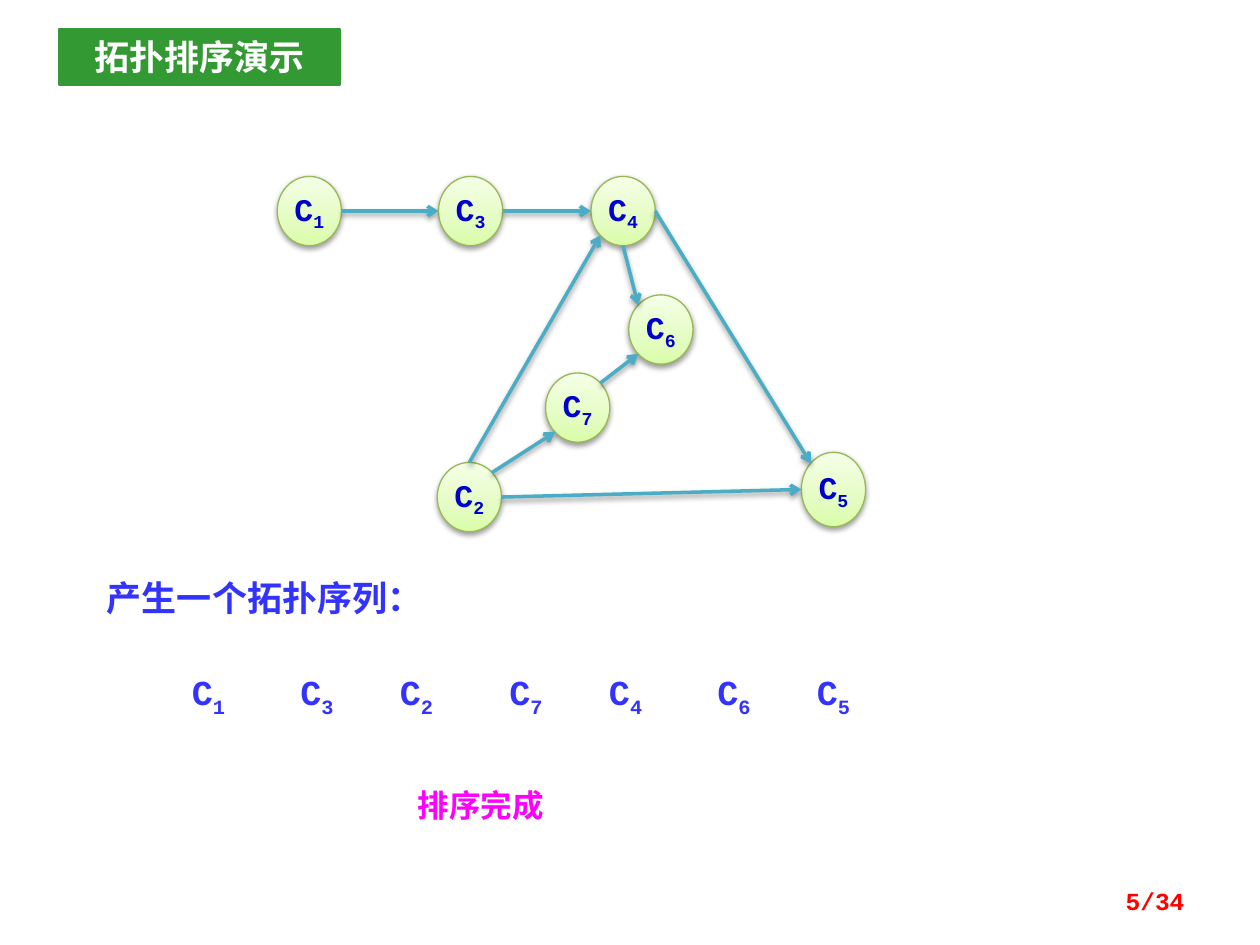
import math
from lxml import etree
from pptx import Presentation
from pptx import util as u
from pptx.dml import color
from pptx.enum import shapes, text
from pptx.oxml import ns, parse_xml

COLORS = {
    "banner": "339933", "white": "FFFFFF", "sequence": "3333FF", "done": "FF00FF",
    "node_text": "0000CC", "node_line": "98B955", "edge": "4BACC6", "page": "FF0000",
}
CODE, HAN = "Courier New", "Noto Sans CJK SC"
LEFT, CENTER, RIGHT = text.PP_ALIGN.LEFT, text.PP_ALIGN.CENTER, text.PP_ALIGN.RIGHT

GRADIENT = f"""<a:gradFill {ns.nsdecls('a')} rotWithShape="1"><a:gsLst>
<a:gs pos="0"><a:srgbClr val="DAFDA7"/></a:gs>
<a:gs pos="35000"><a:srgbClr val="E4FCC2"/></a:gs>
<a:gs pos="100000"><a:srgbClr val="F5FFE7"/></a:gs>
</a:gsLst><a:lin ang="16200000" scaled="1"/></a:gradFill>"""
SHADOW = f"""<a:effectLst {ns.nsdecls('a')}>
<a:outerShdw blurRad="40000" dist="20000" dir="5400000" rotWithShape="0">
<a:srgbClr val="000000"><a:alpha val="38000"/></a:srgbClr></a:outerShdw></a:effectLst>"""


def write(shape, words, size, tint, font=CODE, align=CENTER, subscript="", **frame_format):
    frame = shape.text_frame
    for name, value in {"word_wrap": True, **frame_format}.items():
        setattr(frame, name, value)
    para = frame.paragraphs[0]
    para.alignment = align
    for part in filter(None, (words, subscript)):
        span = para.add_run()
        span.text = part
        for name, value in {"name": font, "size": u.Pt(size), "bold": True}.items():
            setattr(span.font, name, value)
        span.font.color.rgb = color.RGBColor.from_string(COLORS[tint])
        properties = span.font._element
        etree.SubElement(properties, ns.qn("a:ea")).set("typeface", HAN)
        if part == subscript:
            properties.set("baseline", "-25000")


def rim_point(node, degrees):
    """Point on a node's outline, counted anticlockwise from the right."""
    angle = math.radians(degrees)
    return (int(node.left + node.width / 2 * (1 + math.cos(angle))),
            int(node.top + node.height / 2 * (1 - math.sin(angle))))


deck = Presentation()
deck.slide_width, deck.slide_height = u.Inches(10), u.Inches(7.5)
page = deck.slides.add_slide(deck.slide_layouts[6])
GROW = text.MSO_AUTO_SIZE.SHAPE_TO_FIT_TEXT
MIDDLE = text.MSO_ANCHOR.MIDDLE

# Title banner
banner = page.shapes.add_shape(shapes.MSO_SHAPE.RECTANGLE, *map(u.Inches, (0.47, 0.23, 2.23, 0.44)))
banner.shadow.inherit = False
banner.fill.solid()
banner.fill.fore_color.rgb = color.RGBColor.from_string(COLORS["banner"])
banner.line.color.rgb = color.RGBColor.from_string(COLORS["banner"])
banner.line.width = u.Pt(1.5)
write(banner, "拓扑排序演示", 20, "white", HAN, auto_size=GROW, vertical_anchor=text.MSO_ANCHOR.TOP)

# Captions and page number
captions = [
    ((0.75, 4.53, 2.61, 0.44), "产生一个拓扑序列：", 20, "sequence", CODE, LEFT, {"auto_size": GROW}),
    ((2.87, 6.19, 1.89, 0.4), "排序完成", 18, "done", HAN, CENTER, {"auto_size": GROW}),
    ((7.17, 6.95, 2.33, 0.4), "5/34", 14, "page", CODE, RIGHT, {"vertical_anchor": MIDDLE}),
]
for place, words, size, tint, font, align, frame_format in captions:
    box = page.shapes.add_textbox(*map(u.Inches, place))
    write(box, words, size, tint, font, align, **frame_format)

# Resulting sequence
no_margins = {f"margin_{side}": 0 for side in ("left", "top", "right", "bottom")}
for number, left in zip("1327465", (1.3, 2.16, 2.95, 3.82, 4.61, 5.47, 6.26)):
    box = page.shapes.add_textbox(*map(u.Inches, (left, 5.32, 0.71, 0.34)))
    write(box, "C", 20, "sequence", subscript=number, auto_size=GROW, **no_margins)

# Graph nodes: number -> left, top, height
places = {
    "1": (2.2, 1.4, 0.55), "3": (3.48, 1.4, 0.55), "4": (4.69, 1.4, 0.55),
    "2": (3.47, 3.67, 0.55), "7": (4.33, 2.96, 0.55), "6": (4.99, 2.34, 0.55),
    "5": (6.36, 3.59, 0.59),
}
nodes = {}
for number, (left, top, height) in places.items():
    node = page.shapes.add_shape(shapes.MSO_SHAPE.OVAL, *map(u.Inches, (left, top, 0.51, height)))
    node._element.spPr.append(parse_xml(GRADIENT))
    node.line.color.rgb = color.RGBColor.from_string(COLORS["node_line"])
    node.line.width = u.Pt(0.75)
    node._element.spPr.append(parse_xml(SHADOW))
    write(node, "C", 18, "node_text", subscript=number, word_wrap=False, vertical_anchor=MIDDLE)
    nodes[number] = node

# Graph edges: start node and angle, end node and angle
edges = [
    ("2", 45, "7", 225), ("7", 45, "6", 225), ("2", 0, "5", 180), ("4", 0, "5", 135),
    ("4", 270, "6", 135), ("2", 90, "4", 225), ("1", 0, "3", 180), ("3", 0, "4", 180),
]
for start, start_angle, end, end_angle in edges:
    edge = page.shapes.add_connector(
        shapes.MSO_CONNECTOR.STRAIGHT,
        *rim_point(nodes[start], start_angle), *rim_point(nodes[end], end_angle))
    edge.line.color.rgb = color.RGBColor.from_string(COLORS["edge"])
    edge.line.width = u.Pt(2)
    etree.SubElement(edge.line._get_or_add_ln(), ns.qn("a:tailEnd")).set("type", "arrow")
    edge._element.spPr.append(parse_xml(SHADOW))

deck.save("out.pptx")
